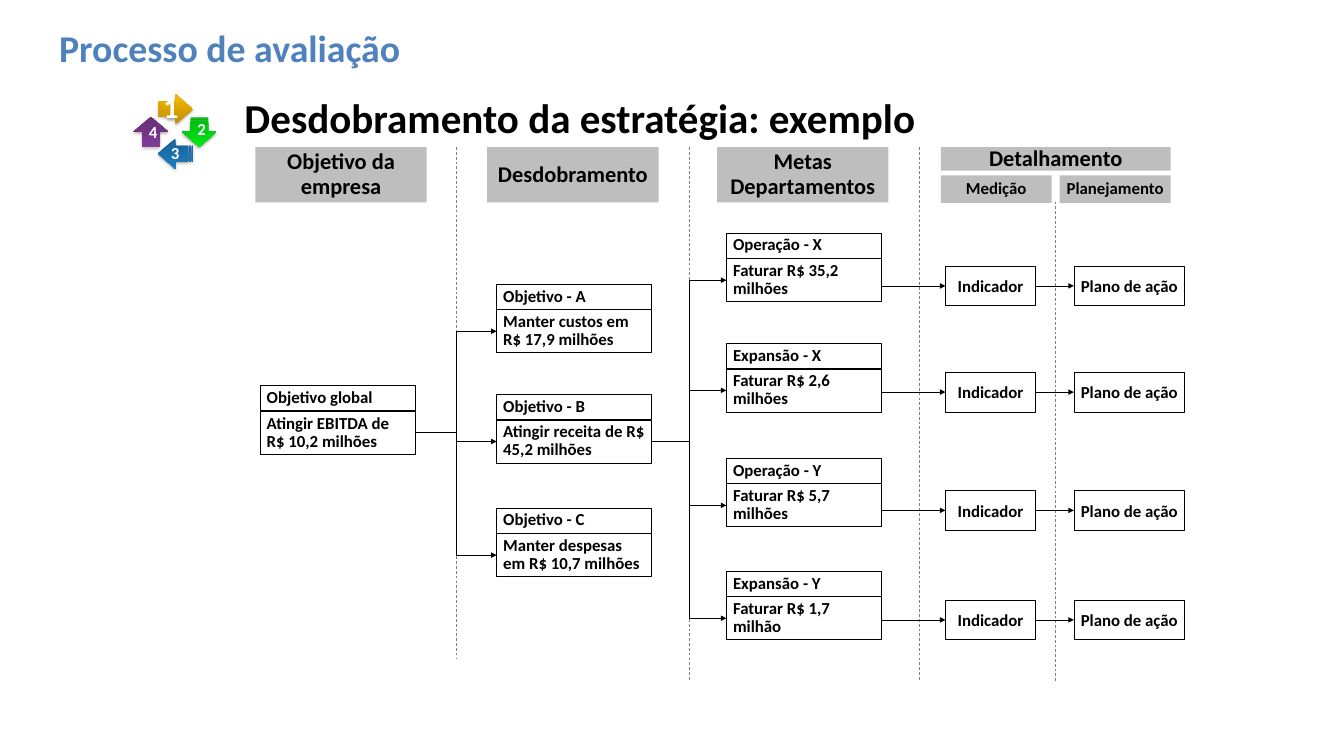
import pptx
import pptx.util
import pptx.dml.color
import pptx.enum.dml
import pptx.enum.shapes
import pptx.enum.text
import pptx.oxml
import pptx.oxml.ns
from pptx.util import Inches

COLORS = {"title": "4F81BD", "text": "000000", "gray": "7F7F7F", "digit": "FFFFFF"}
ALIGN = pptx.enum.text.PP_ALIGN
ANCHOR = pptx.enum.text.MSO_ANCHOR
SHAPE = pptx.enum.shapes.MSO_SHAPE
CONNECTOR = pptx.enum.shapes.MSO_CONNECTOR
BOTTOM_TO_TOP, TOP_TO_BOTTOM = "vert270", "vert"
RIGHT_SIDE, LEFT_SIDE = 3, 1

HEADERS = [
    (3.8, 2.19, 2.55, 0.82, 24, ["Objetivo da", "empresa"]),
    (7.25, 2.19, 2.55, 0.82, 24, ["Desdobramento"]),
    (10.67, 2.19, 2.55, 0.82, 24, ["Metas", "Departamentos"]),
    (14, 2.19, 3.42, 0.35, 24, ["Detalhamento"]),
    (14, 2.61, 1.65, 0.41, 18, ["Medição"]),
    (15.77, 2.61, 1.65, 0.41, 18, ["Planejamento"]),
]
DIVIDERS = [(6.79, 2.19, 9.79), (10.26, 2.19, 10.14), (13.68, 2.19, 10.14), (15.7, 3, 10.14)]
GLOBAL_GOAL = (5.74, "Objetivo global", "Atingir EBITDA de R$ 10,2 milhões")
GOALS = [
    (4.23, "Objetivo - A", "Manter custos em R$ 17,9 milhões"),
    (5.87, "Objetivo - B", "Atingir receita de R$ 45,2 milhões"),
    (7.56, "Objetivo - C", "Manter despesas em R$ 10,7 milhões"),
]
TARGETS = [
    (3.47, "Operação - X", "Faturar R$ 35,2 milhões"),
    (5.11, "Expansão - X", "Faturar R$ 2,6 milhões"),
    (6.82, "Operação - Y", "Faturar R$ 5,7 milhões"),
    (8.5, "Expansão - Y", "Faturar R$ 1,7 milhão"),
]
DETAIL_TOPS = [3.96, 5.54, 7.3, 8.93]
CYCLE = [
    ("1", 32, (2.35, 1.4, 0.52, 0.45), 0, 0.58, ("BE8F00", "F7BA00"), 90, (0.25, 0.22, 0.4, 0.22), {}),
    ("2", 18, (2.74, 1.7, 0.45, 0.52), 90, 0.5, ("00B50F", "00EB15"), 0, (0.4, 0.19, 0.4, 0.33),
     {"vert": BOTTOM_TO_TOP}),
    ("3", 18, (2.35, 2.06, 0.52, 0.45), 180, 0.58, ("186094", "1E7DC1"), 90, (0.25, 0.22, 0.4, 0.22),
     {"rot": "10800000"}),
    ("4", 18, (2.02, 1.7, 0.45, 0.52), 270, 0.5, ("642E75", "813B99"), 180, (0.4, 0.33, 0.4, 0.19),
     {"vert": TOP_TO_BOTTOM}),
]


def rgb(name):
    """Return the colour for a palette name or a hex string."""
    return pptx.dml.color.RGBColor.from_string(COLORS.get(name, name))


def apply_format(target, values):
    """Set every attribute in values on target."""
    for attribute, value in values.items():
        setattr(target, attribute, value)


def add_xml(parent, tag, **attributes):
    """Append a drawing element to parent and return it."""
    child = pptx.oxml.parse_xml(f"<a:{tag} {pptx.oxml.ns.nsdecls('a')}/>")
    for key, value in attributes.items():
        child.set(key, value)
    parent.append(child)
    return child


def write(shape, lines, size, color="text", align=ALIGN.LEFT, spacing=0.9,
          margins=(0.1, 0.05, 0.1, 0.05), **frame_format):
    """Fill a shape with bold paragraphs."""
    frame = shape.text_frame
    sides = ("margin_left", "margin_top", "margin_right", "margin_bottom")
    apply_format(frame, dict(zip(sides, map(Inches, margins))))
    apply_format(frame, {"word_wrap": True, "vertical_anchor": ANCHOR.MIDDLE, **frame_format})
    frame.text = "\n".join(lines)
    for paragraph in frame.paragraphs:
        apply_format(paragraph, {"alignment": align, "line_spacing": spacing})
        for run in paragraph.runs:
            apply_format(run.font, {"name": "Calibri", "size": pptx.util.Pt(size), "bold": True})
            run.font.color.rgb = rgb(color)


def add_block(slide, kind, box):
    """Add a preset shape without shadow, fill or line."""
    block = slide.shapes.add_shape(kind, *map(Inches, box))
    block.shadow.inherit = False
    block.fill.background()
    block.line.fill.background()
    return block


def outline(line, color="text"):
    """Give a line its colour and thin width."""
    line.color.rgb = rgb(color)
    line.width = pptx.util.Pt(0.75)


def add_header(slide, left, top, width, height, size, lines):
    """Add a half-transparent gray column header."""
    header = add_block(slide, SHAPE.RECTANGLE, (left, top, width, height))
    header.fill.solid()
    header.fill.fore_color.rgb = rgb("gray")
    color = header.fill._xPr.find(".//" + pptx.oxml.ns.qn("a:srgbClr"))
    add_xml(color, "alpha", val="50000")
    write(header, lines, size, align=ALIGN.CENTER, word_wrap=False)


def add_card(slide, left, top, name, goal):
    """Add a name box above a goal box and return the goal box."""
    for offset, height, wording in ((0, 0.37, name), (0.38, 0.64, goal)):
        box = add_block(slide, SHAPE.FLOWCHART_PROCESS, (left, top + offset, 2.31, height))
        outline(box.line)
        write(box, [wording], 18, vertical_anchor=ANCHOR.TOP,
              auto_size=pptx.enum.text.MSO_AUTO_SIZE.SHAPE_TO_FIT_TEXT)
    return box


def add_detail(slide, left, top, width, wording):
    """Add a one-line detail box."""
    detail = add_block(slide, SHAPE.RECTANGLE, (left, top, width, 0.59))
    outline(detail.line)
    write(detail, [wording], 18, align=ALIGN.CENTER, spacing=1.0, word_wrap=False)
    return detail


def add_line(slide, kind, start, end, color="text"):
    """Add a thin connector without shadow."""
    line = slide.shapes.add_connector(kind, *start, *end)
    outline(line.line, color)
    add_xml(line._element.spPr, "effectLst")
    return line


def add_arrow(slide, kind, source, target):
    """Join the right side of source to the left side of target."""
    start = source.left + source.width, source.top + source.height // 2
    end = target.left, target.top + target.height // 2
    if kind == CONNECTOR.STRAIGHT:
        start = start[0], end[1]
    arrow = add_line(slide, kind, start, end)
    if start[1] == source.top + source.height // 2:
        arrow.begin_connect(source, RIGHT_SIDE)
    arrow.end_connect(target, LEFT_SIDE)
    add_xml(arrow.line._get_or_add_ln(), "tailEnd", type="triangle")


def add_cycle_arrow(slide, digit, size, box, turn, head, shades, angle, margins, direction):
    """Add a numbered striped arrow of the cycle."""
    arrow = add_block(slide, SHAPE.STRIPED_RIGHT_ARROW, box)
    arrow.rotation = turn
    arrow.adjustments[1] = head
    arrow.fill.gradient()
    arrow.fill.gradient_angle = angle
    for stop, shade in zip(arrow.fill.gradient_stops, shades):
        stop.color.rgb = rgb(shade)
    effects = arrow._element.spPr.find(pptx.oxml.ns.qn("a:effectLst"))
    shadow = add_xml(effects, "outerShdw", blurRad="39370", dist="22860", dir="5400000", rotWithShape="0")
    add_xml(add_xml(shadow, "srgbClr", val="000000"), "alpha", val="35000")
    write(arrow, [digit], size, "digit", ALIGN.CENTER, margins=margins)
    for key, value in direction.items():
        arrow.text_frame._txBody.bodyPr.set(key, value)


def main():
    """Build the strategy deployment slide."""
    deck = pptx.Presentation()
    deck.slide_width, deck.slide_height = Inches(20), Inches(11.25)
    slide = deck.slides.add_slide(deck.slide_layouts[5])
    title = slide.shapes.title
    apply_format(title, {"left": Inches(0.78), "top": Inches(0.35),
                         "width": Inches(13.65), "height": Inches(0.71)})
    write(title, ["Processo de avaliação"], 40.5, "title", spacing=1.0)
    subtitle = slide.shapes.add_textbox(*map(Inches, (3.54, 1.41, 13.96, 0.76)))
    write(subtitle, ["Desdobramento da estratégia: exemplo"], 44)

    for header in HEADERS:
        add_header(slide, *header)
    for x, top, bottom in DIVIDERS:
        divider = add_line(slide, CONNECTOR.STRAIGHT, (Inches(x), Inches(top)),
                           (Inches(x), Inches(bottom)), "gray")
        divider.line.dash_style = pptx.enum.dml.MSO_LINE.DASH

    global_goal = add_card(slide, 3.87, *GLOBAL_GOAL)
    goals = [add_card(slide, 7.39, *goal) for goal in GOALS]
    targets = [add_card(slide, 10.81, *target) for target in TARGETS]
    for goal in goals:
        add_arrow(slide, CONNECTOR.ELBOW, global_goal, goal)
    for target, top in zip(targets, DETAIL_TOPS):
        add_arrow(slide, CONNECTOR.ELBOW, goals[1], target)
        indicator = add_detail(slide, 14.07, top, 1.34, "Indicador")
        plan = add_detail(slide, 15.98, top, 1.65, "Plano de ação")
        add_arrow(slide, CONNECTOR.STRAIGHT, target, indicator)
        add_arrow(slide, CONNECTOR.STRAIGHT, indicator, plan)

    for step in CYCLE:
        add_cycle_arrow(slide, *step)
    deck.save("out.pptx")


if __name__ == "__main__":
    main()
